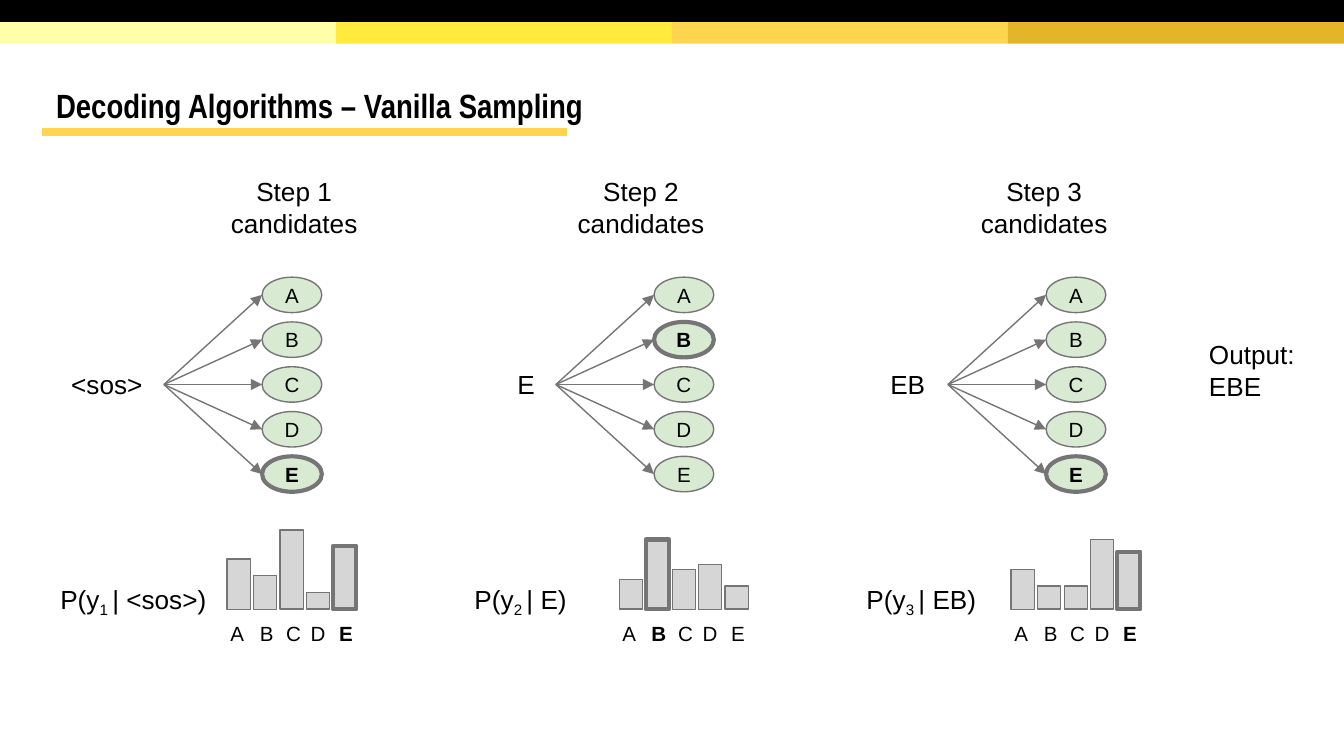
from pptx import Presentation
from pptx.dml.color import RGBColor
from pptx.enum.shapes import MSO_CONNECTOR as Link, MSO_SHAPE as Kind
from pptx.enum.text import MSO_ANCHOR as Anchor, PP_ALIGN as Align
from pptx.util import Pt
from lxml.etree import SubElement
from pptx.oxml.ns import qn

BLACK, GRAY, GOLD = "000000", "757575", "FFD54F"
GREEN, SILVER = "D9EAD3", "D6D6D6"
THIN, THICK = 0.75, 2.25
TOKENS = "ABCDE"

# Step: title left, context, context width, formula left and width, bars, pick
STEPS = [
    (86.6, "<sos>", 61, 0.2, 114.5, (27, 18, 42.5, 9, 34), "E"),
    (62.4, "E", 32, 12.1, 76, (16, 37.4, 21.4, 24, 12.4), "B"),
    (68.4, "EB", 43, 12.1, 76, (21.4, 12.4, 12.4, 37.4, 30.8), "E"),
]


def color(code):
    return RGBColor.from_string(code)


def style(para, size, bold=False, face="Arial"):
    font = para.font
    font.name, font.size, font.bold = face, Pt(size), bold
    font.color.rgb = color(BLACK)


def write(shape, lines, size=14, bold=False, align=Align.CENTER,
          anchor=Anchor.MIDDLE, pad=(7.2, 7.2), face="Arial"):
    frame = shape.text_frame
    frame.word_wrap = True
    frame.vertical_anchor = anchor
    frame.margin_left = frame.margin_right = Pt(pad[0])
    frame.margin_top = frame.margin_bottom = Pt(pad[1])
    for i, line in enumerate(lines):
        para = frame.add_paragraph() if i else frame.paragraphs[0]
        para.alignment = align
        for part in [line] if isinstance(line, str) else line:
            para.add_run().text = part
        style(para, size, bold, face)
    return frame.paragraphs[0]


def text(slide, x, y, w, h, lines, **look):
    box = slide.shapes.add_textbox(Pt(x), Pt(y), Pt(w), Pt(h))
    return write(box, lines, **look)


def block(slide, kind, x, y, w, h, fill, edge=None):
    shape = slide.shapes.add_shape(kind, Pt(x), Pt(y), Pt(w), Pt(h))
    shape.shadow.inherit = False
    shape.fill.solid()
    shape.fill.fore_color.rgb = color(fill)
    if edge:
        shape.line.color.rgb = color(GRAY)
        shape.line.width = Pt(edge)
    else:
        shape.line.fill.background()
    return shape


def line(slide, x1, y1, x2, y2, ink, width, arrow=False):
    link = slide.shapes.add_connector(
        Link.STRAIGHT, Pt(x1), Pt(y1), Pt(x2), Pt(y2))
    link.line.color.rgb = color(ink)
    link.line.width = Pt(width)
    if arrow:
        SubElement(link.line._get_or_add_ln(), qn("a:tailEnd"), type="triangle")
    SubElement(link._element.spPr, qn("a:effectLst"))


def header(slide, x, y, w):
    # Colour bands
    band, part = 11.7, w / 4
    for i, fill in enumerate(("FFFFAA", "FFEA3D", GOLD, "E4B429")):
        block(slide, Kind.RECTANGLE, x + i * part, y + band, part, band, fill)
    block(slide, Kind.RECTANGLE, x, y, w, band, BLACK)
    # Underlined title
    line(slide, x + 22.4, y + 70.6, x + 303.8, y + 70.6, GOLD, 4.5)
    para = text(slide, x + 24.6, y + 35.2, w - 49, 45.4,
                ["Decoding Algorithms – Vanilla Sampling"], size=18, bold=True,
                align=Align.LEFT, pad=(5.4, 2.7), face="Arial Narrow")
    para.line_spacing = 0.85


def tree(slide, x, y, context, width, pick):
    """Context at the left, fanning out to the candidate tokens."""
    hub, left, step = x + 62.8, x + 115.4, 24
    mid = y + 2 * step
    text(slide, hub - width, mid - 18.8, width, 37.6, [context])
    for i, token in enumerate(TOKENS):
        row, bold = y + i * step, token == pick
        node = block(slide, Kind.OVAL, left, row - 9.5, 32, 19, GREEN,
                     THICK if bold else THIN)
        write(node, [token], size=11, bold=bold, pad=(0, 0))
        line(slide, hub, mid, left, row, GRAY, THIN, arrow=True)


def bars(slide, x, base, sizes, pick):
    """Probability bars standing on a base, with token labels below."""
    mids = (5.4, 21.2, 35.6, 48.7, 63.6)
    for i, (token, size, mid) in enumerate(zip(TOKENS, sizes, mids)):
        bold = token == pick
        block(slide, Kind.RECTANGLE, x + i * 14.2, base - size, 12.4, size,
              SILVER, THICK if bold else THIN)
        text(slide, x + mid - 10.5, base + 7, 21, 12.2, [token],
             size=11, bold=bold, pad=(0, 0))


def panel(slide, x, y, num, data):
    head, context, width, left, room, sizes, pick = data
    text(slide, x + head, y, 92, 49.6, [f"Step {num}", "candidates"],
         anchor=Anchor.TOP)
    tree(slide, x, y + 71, context, width, pick)
    bars(slide, x + 96.7, y + 239.4, sizes, pick)
    # Formula with a subscript
    para = text(slide, x + left, y + 218.2, room, 49.6,
                [("P(y", f"{num} ", f"| {context})")],
                align=Align.LEFT, anchor=Anchor.TOP)
    para.runs[1]._r.get_or_add_rPr().set("baseline", "-25000")


def main():
    deck = Presentation()
    deck.slide_width, deck.slide_height = Pt(720), Pt(405)
    slide = deck.slides.add_slide(deck.slide_layouts[6])
    header(slide, 0, 0, 720)
    for i, data in enumerate(STEPS):
        panel(slide, 25 + i * 210, 87, i + 1, data)
    # Result
    text(slide, 640.6, 174.2, 61.4, 49.6, ["Output:", "EBE"],
         align=Align.LEFT, anchor=Anchor.TOP)
    deck.save("out.pptx")


if __name__ == "__main__":
    main()
